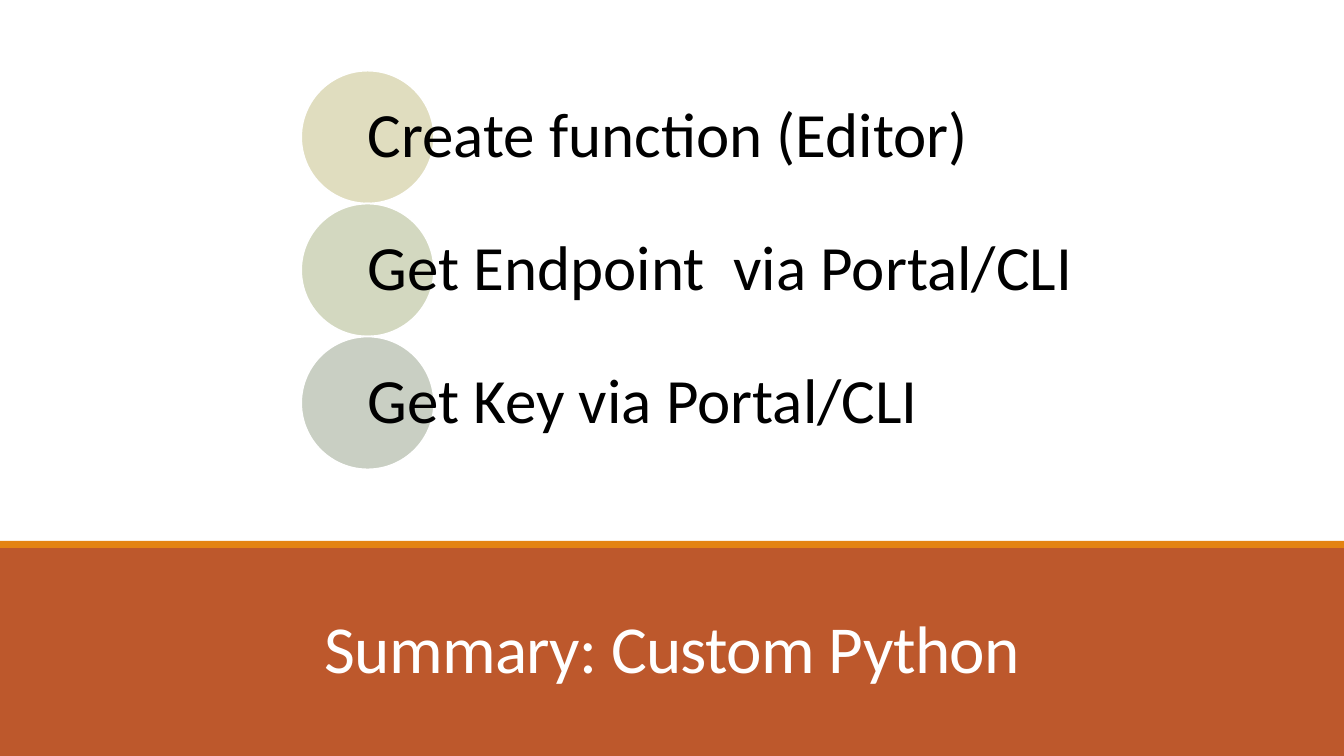
from lxml.etree import SubElement
from pptx import Presentation
from pptx.dml.color import RGBColor
from pptx.enum.shapes import MSO_SHAPE
from pptx.enum.text import MSO_ANCHOR, PP_ALIGN
from pptx.oxml.ns import qn
from pptx.util import Cm, Pt

WIDTH, HEIGHT = 33.87, 19.05
BAND_TOP = 13.77
CIRCLE_LEFT, CIRCLE_TOP, CIRCLE_SIZE = 7.59, 1.78, 3.35
STEPS = [
    ("Create function (Editor)", "C2BC80"),
    ("Get Endpoint  via Portal/CLI", "A8B283"),
    ("Get Key via Portal/CLI", "94A088"),
]


def paint(color_format, color):
    color_format.rgb = RGBColor.from_string(color)


def add_filled(page, kind, left, top, width, height, color):
    shape = page.shapes.add_shape(kind, Cm(left), Cm(top), Cm(width), Cm(height))
    shape.shadow.inherit = False
    shape.fill.solid()
    paint(shape.fill.fore_color, color)
    shape.line.fill.background()
    return shape


def add_circle(page, top, color):
    circle = add_filled(page, MSO_SHAPE.OVAL, CIRCLE_LEFT, top, CIRCLE_SIZE, CIRCLE_SIZE, color)
    shade = circle.fill._xPr.find(qn("a:solidFill"))[0]
    SubElement(shade, qn("a:alpha"), val="50000")
    circle.line.width = Pt(1.25)
    circle.line.fill.solid()
    paint(circle.line.color, "FFFFFF")


def add_text(page, text, left, top, width, height, size, color, anchor, align, spacing):
    box = page.shapes.add_textbox(Cm(left), Cm(top), Cm(width), Cm(height))
    frame = box.text_frame
    frame.word_wrap = True
    frame.vertical_anchor = anchor
    frame.margin_left = frame.margin_right = 0
    para = frame.paragraphs[0]
    para.alignment = align
    para.line_spacing = spacing
    para.font.name = "Calibri"
    para.font.size = Pt(size)
    paint(para.font.color, color)
    span = para.add_run()
    span.text = text
    return span


def add_step(page, index, text, color):
    top = CIRCLE_TOP + index * CIRCLE_SIZE
    add_circle(page, top, color)
    add_text(page, text, CIRCLE_LEFT + CIRCLE_SIZE / 2, top, 17.88, CIRCLE_SIZE,
             45, "000000", MSO_ANCHOR.MIDDLE, PP_ALIGN.LEFT, 0.9)


def add_title_band(page, text):
    add_filled(page, MSO_SHAPE.RECTANGLE, 0, BAND_TOP, WIDTH, HEIGHT - BAND_TOP, "BD582C")
    add_filled(page, MSO_SHAPE.RECTANGLE, 0, 13.63, WIDTH, 0.18, "E48312")
    span = add_text(page, text, 2.97, 14.58, 27.94, 2.87,
                    48, "FFFFFF", MSO_ANCHOR.BOTTOM, PP_ALIGN.CENTER, 0.85)
    span._r.get_or_add_rPr().set("spc", "-50")


def main():
    deck = Presentation()
    deck.slide_width, deck.slide_height = Cm(WIDTH), Cm(HEIGHT)
    page = deck.slides.add_slide(deck.slide_layouts[6])
    add_title_band(page, "Summary: Custom Python")
    for index, (text, color) in enumerate(STEPS):
        add_step(page, index, text, color)
    deck.save("out.pptx")


if __name__ == "__main__":
    main()
